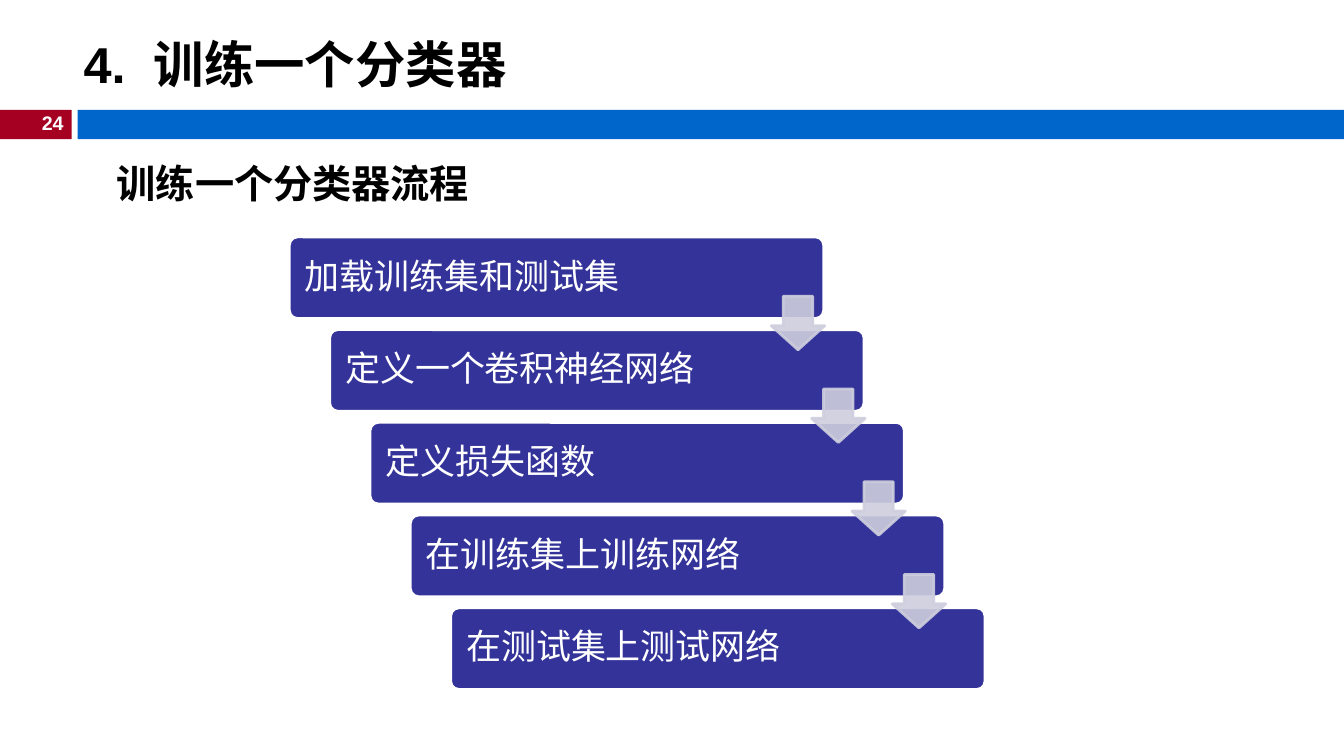
import dataclasses

import pptx
import pptx.dml.color
import pptx.enum.shapes
import pptx.enum.text
import pptx.oxml
import pptx.oxml.ns
import pptx.util

Inches = pptx.util.Inches
Pt = pptx.util.Pt
Shapes = pptx.enum.shapes.MSO_SHAPE
Anchor = pptx.enum.text.MSO_ANCHOR
Align = pptx.enum.text.PP_ALIGN


@dataclasses.dataclass(frozen=True)
class Box:
    left: float
    top: float
    width: float
    height: float

    def lengths(self) -> tuple:
        return tuple(Inches(value) for value in dataclasses.astuple(self))

    def moved(self, step: int) -> "Box":
        return Box(self.left + step * STEP_RIGHT, self.top + step * STEP_DOWN,
                   self.width, self.height)


@dataclasses.dataclass(frozen=True)
class TextStyle:
    font: str
    size: float
    color: str
    bold: bool = False
    align: Align = Align.LEFT
    line_spacing: float = 1.0


STEP_RIGHT, STEP_DOWN = 0.4, 0.92
FIRST_BAR = Box(2.87, 2.35, 5.3, 0.81)
FIRST_ARROW = Box(7.65, 2.94, 0.53, 0.53)
STEPS = [
    "加载训练集和测试集",
    "定义一个卷积神经网络",
    "定义损失函数",
    "在训练集上训练网络",
    "在测试集上测试网络",
]
TITLE_STYLE = TextStyle("Arial", 36, "000000", bold=True)
NUMBER_STYLE = TextStyle("Arial", 14, "FFFFFF", bold=True, align=Align.RIGHT)
HEADING_STYLE = TextStyle("Roboto", 28, "000000", bold=True, line_spacing=1.5)
STEP_STYLE = TextStyle("Noto Sans CJK SC", 25, "FFFFFF", line_spacing=0.9)


def rgb(color: str) -> pptx.dml.color.RGBColor:
    return pptx.dml.color.RGBColor.from_string(color)


def style_paragraph(paragraph, style: TextStyle) -> None:
    paragraph.alignment = style.align
    paragraph.line_spacing = style.line_spacing
    paragraph.font.name = style.font
    paragraph.font.size = Pt(style.size)
    paragraph.font.bold = style.bold
    paragraph.font.color.rgb = rgb(style.color)


def add_block(slide, kind: Shapes, box: Box, fill: str, line: str = ""):
    shape = slide.shapes.add_shape(kind, *box.lengths())
    shape.shadow.inherit = False
    shape.fill.solid()
    shape.fill.fore_color.rgb = rgb(fill)
    if line:
        shape.line.color.rgb = rgb(line)
        shape.line.width = Pt(2)
    else:
        shape.line.fill.background()
    return shape


def add_label(slide, text: str, box: Box, style: TextStyle, wrap: bool) -> None:
    frame = slide.shapes.add_textbox(*box.lengths()).text_frame
    frame.word_wrap = wrap
    frame.text = text
    style_paragraph(frame.paragraphs[0], style)


def add_title(slide, number: str, text: str) -> None:
    title = slide.shapes.title
    title.left, title.top, title.width, title.height = Box(0.73, 0.26, 12.6, 0.74).lengths()
    frame = title.text_frame
    frame.auto_size = pptx.enum.text.MSO_AUTO_SIZE.NONE
    frame.vertical_anchor = Anchor.MIDDLE
    paragraph = frame.paragraphs[0]
    number_run, gap_run, text_run = (paragraph.add_run() for _ in range(3))
    number_run.text, gap_run.text, text_run.text = number, " ", text
    gap_run.font._element.set("spc", "1000")
    style_paragraph(paragraph, TITLE_STYLE)


def add_step(slide, text: str, box: Box) -> None:
    bar = add_block(slide, Shapes.ROUNDED_RECTANGLE, box, "333399", "FFFFFF")
    bar.adjustments[0] = 0.1
    frame = bar.text_frame
    frame.word_wrap = True
    frame.vertical_anchor = Anchor.MIDDLE
    frame.margin_left = Inches(0.13)
    frame.text = text
    style_paragraph(frame.paragraphs[0], STEP_STYLE)


def add_arrow(slide, box: Box) -> None:
    arrow = add_block(slide, Shapes.DOWN_ARROW, box, "CECEDE", "CECEDE")
    arrow.adjustments[0] = 0.55
    arrow.adjustments[1] = 0.45
    for color in arrow._element.spPr.iter(pptx.oxml.ns.qn("a:srgbClr")):
        alpha = pptx.oxml.parse_xml(
            f'<a:alpha {pptx.oxml.ns.nsdecls("a")} val="90000"/>')
        color.append(alpha)


def main() -> None:
    presentation = pptx.Presentation()
    presentation.slide_width = Inches(13.33)
    presentation.slide_height = Inches(7.5)
    slide = presentation.slides.add_slide(presentation.slide_layouts[5])

    add_block(slide, Shapes.RECTANGLE, Box(0, 1.09, 0.71, 0.29), "A50021")
    add_block(slide, Shapes.RECTANGLE, Box(0.77, 1.09, 12.56, 0.29), "0066CC")
    add_label(slide, "24", Box(0.29, 1.05, 0.44, 0.34), NUMBER_STYLE, wrap=False)
    add_title(slide, "4.", "训练一个分类器")
    add_label(slide, "训练一个分类器流程", Box(1.06, 1.3, 4.49, 1.51),
              HEADING_STYLE, wrap=True)

    for index, text in enumerate(STEPS):
        add_step(slide, text, FIRST_BAR.moved(index))
    for index in range(len(STEPS) - 1):
        add_arrow(slide, FIRST_ARROW.moved(index))

    presentation.save("out.pptx")


if __name__ == "__main__":
    main()
